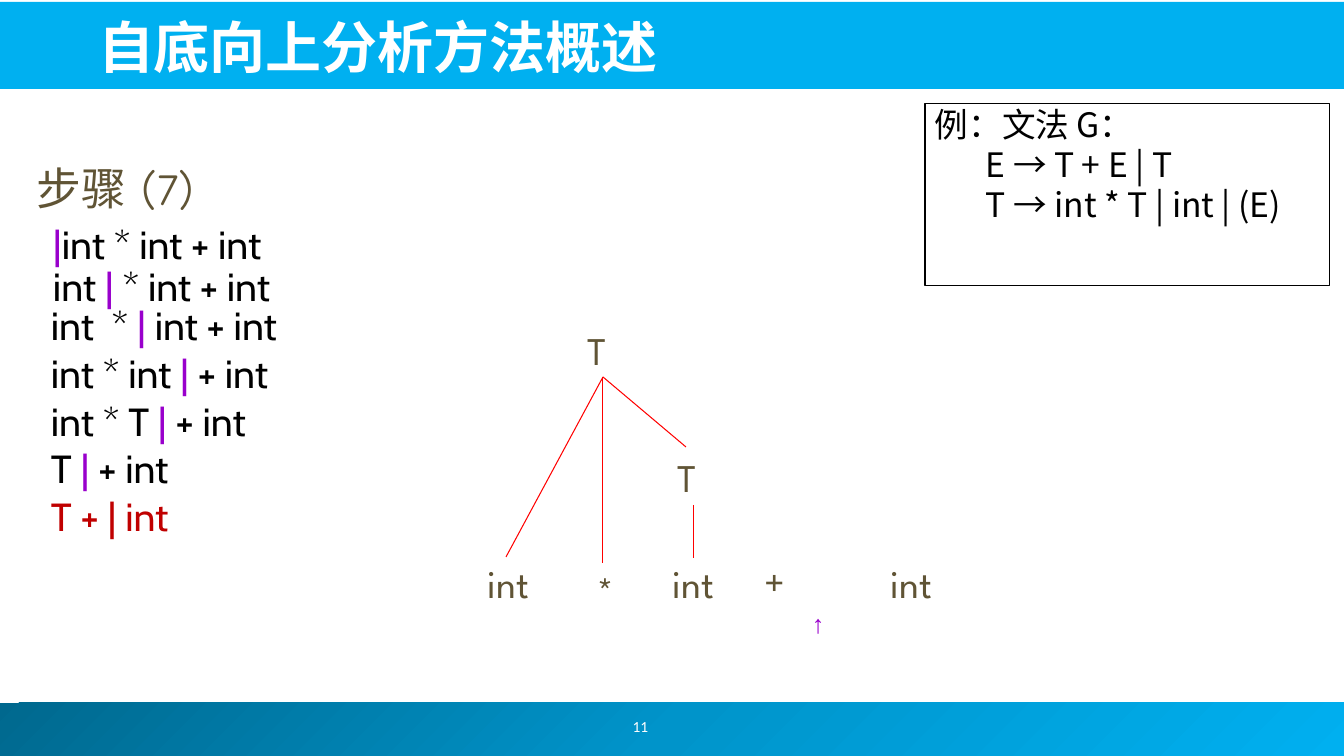
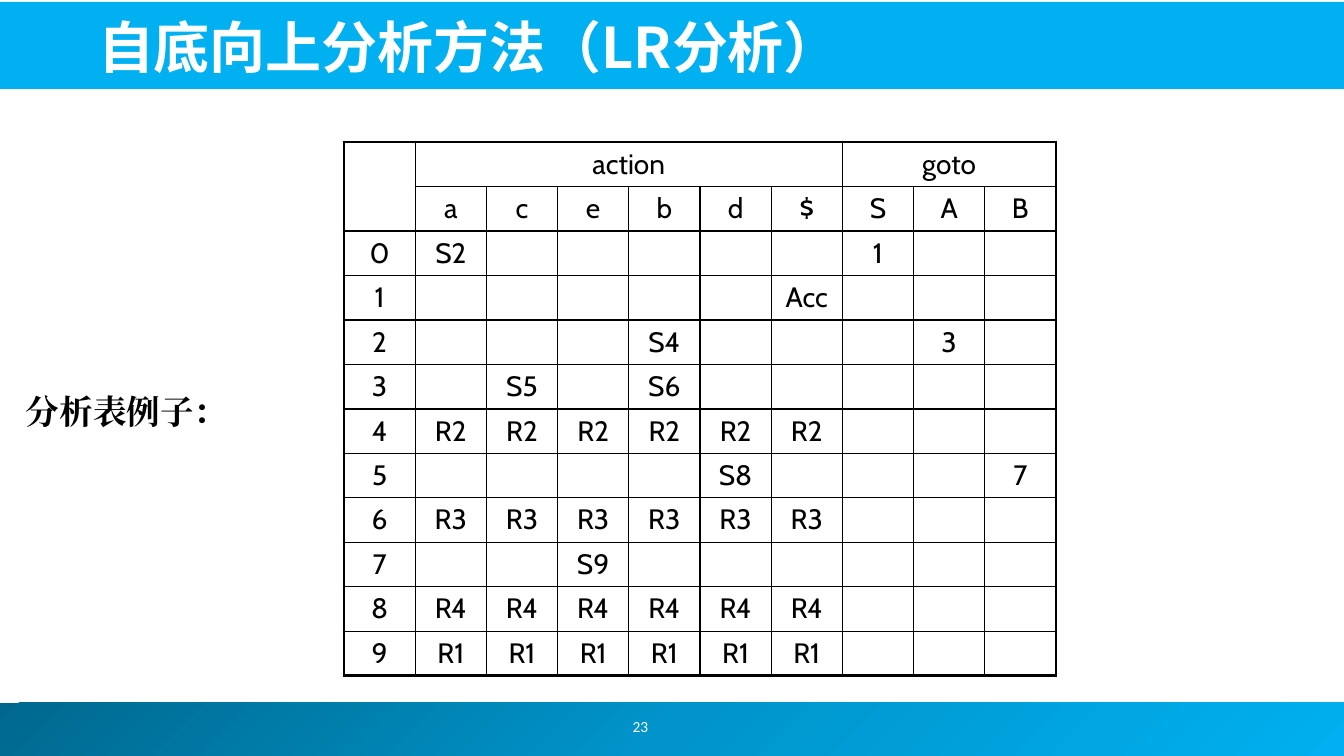
from copy import deepcopy

from pptx import Presentation
from pptx.dml.color import RGBColor
from pptx.enum.shapes import MSO_CONNECTOR, MSO_SHAPE
from pptx.enum.text import MSO_ANCHOR, MSO_AUTO_SIZE, PP_ALIGN
from pptx.oxml.ns import qn
from pptx.util import Pt
from lxml import etree

PX = 914400 / 100.8
RECTANGLE, STRAIGHT = MSO_SHAPE.RECTANGLE, MSO_CONNECTOR.STRAIGHT
TOP, MIDDLE, BOTTOM = MSO_ANCHOR.TOP, MSO_ANCHOR.MIDDLE, MSO_ANCHOR.BOTTOM
LEFT, CENTER = PP_ALIGN.LEFT, PP_ALIGN.CENTER

WHITE, BLACK, SKY = "FFFFFF", "000000", "00B0F0"
OLIVE, PURPLE, RED, DARK_RED = "605435", "9900CC", "FF0000", "C00000"
FOOTER_GRADIENT = [(0, "00688E"), (0.5, "0094CA"), (1, SKY)]
CJK, BODY, TREE = "Noto Sans CJK JP", "Cabin", "League Spartan"
HAND, SERIF, NUMBER = "Comic Neue", "Times New Roman", "Calibri"

# Slide 1: parsing steps as (left, top, runs)
STEPS = [
    (43, 215, [("|", PURPLE), ("int * int + int", BLACK)]),
    (43, 257, [("int ", BLACK), ("| ", PURPLE), ("* int + int", BLACK)]),
    (41, 296, [("int  * ", BLACK), ("| ", PURPLE), ("int + int", BLACK)]),
    (41, 344, [("int * int", BLACK), (" | ", PURPLE), ("+ int", BLACK)]),
    (41, 392, [("int * T ", BLACK), ("| ", PURPLE), ("+ int", BLACK)]),
    (41, 439, [("T ", BLACK), ("| ", PURPLE), ("+ int", BLACK)]),
    (41, 487, [("T + | int", DARK_RED)]),
]
TREE_NODES = [("T", 578, 321), ("T", 668, 448), ("int", 478, 554),
              ("*", 588, 561), ("int", 663, 554), ("+", 755, 552),
              ("int", 881, 554)]
TREE_ROOT = (603, 377)
TREE_EDGES = [(TREE_ROOT, (506, 557)), (TREE_ROOT, (603, 563)),
              (TREE_ROOT, (686, 447)), ((694, 505), (694, 558))]
# Grammar lines as (text, left margin, first-line indent)
GRAMMAR = [("例：文法 G：", 38, -38),
           ("E → T + E | T", 82, -31),
           ("T → int * T | int | (E)", 82, -31)]

# Slide 2: parsing table
GROUPS = [("action", 1, 6), ("goto", 7, 9)]
SYMBOLS = ["a", "c", "e", "b", "d", "$", "S", "A", "B"]
STATES = [
    {"a": "S2", "S": "1"},
    {"$": "Acc"},
    {"b": "S4", "A": "3"},
    {"c": "S5", "b": "S6"},
    dict.fromkeys("acebd$", "R2"),
    {"d": "S8", "B": "7"},
    dict.fromkeys("acebd$", "R3"),
    {"e": "S9"},
    dict.fromkeys("acebd$", "R4"),
    dict.fromkeys("acebd$", "R1"),
]
TABLE_BOX = (344, 142, 712, 534)
THIN, THICK = 1, 2.25


def emu(pixels):
    return round(pixels * PX)


def color(value):
    return RGBColor.from_string(value)


def format_run(run, size, font, fill, bold=False):
    run.font.size, run.font.name, run.font.bold = Pt(size), font, bold
    run.font.color.rgb = color(fill)
    latin = run._r.rPr.find(qn("a:latin"))
    east_asian = etree.Element(qn("a:ea"), typeface=font)
    latin.addnext(east_asian)


def add_text(slide, box, runs, size, font, anchor=TOP, align=LEFT, bold=False):
    shape = slide.shapes.add_textbox(*map(emu, box))
    frame = shape.text_frame
    frame.word_wrap, frame.vertical_anchor = True, anchor
    paragraph = frame.paragraphs[0]
    paragraph.alignment = align
    for text, fill in runs:
        run = paragraph.add_run()
        run.text = text
        format_run(run, size, font, fill, bold)


def add_rectangle(slide, box):
    shape = slide.shapes.add_shape(RECTANGLE, *map(emu, box))
    shape.shadow.inherit = False
    return shape


def add_edge(slide, start, end):
    line = slide.shapes.add_connector(STRAIGHT, *map(emu, start + end))
    line.line.color.rgb, line.line.width = color(RED), Pt(0.75)
    etree.SubElement(line._element.spPr, qn("a:effectLst"))


def set_up_layout(layout, slide):
    """Give the layout its two bands and its title position."""
    footer = add_rectangle(slide, (-5, 703, 1350, 53))
    footer.fill.gradient()
    footer.fill.gradient_angle = 315
    stop_list = footer._element.spPr.find(".//" + qn("a:gsLst"))
    stop_list.insert(1, deepcopy(stop_list[0]))
    for stop, (position, value) in zip(footer.fill.gradient_stops, FOOTER_GRADIENT):
        stop.position, stop.color.rgb = position, color(value)
    header = add_rectangle(slide, (-2, 2, 1347, 87))
    header.fill.solid()
    header.fill.fore_color.rgb = color(SKY)
    for band in (footer, header):
        band.line.fill.background()
        layout.shapes._spTree.append(band._element)
    title = layout.placeholders[0]
    title.left, title.top, title.width, title.height = map(emu, (88, 5, 1216, 80))


def add_title_and_number(slide, title, number):
    frame = slide.shapes.title.text_frame
    frame.text = title
    frame.auto_size, frame.vertical_anchor = MSO_AUTO_SIZE.NONE, BOTTOM
    frame.paragraphs[0].alignment = LEFT
    format_run(frame.paragraphs[0].runs[0], 40, CJK, WHITE, True)
    add_text(slide, (495, 701, 291, 50), [(number, WHITE)], 11, NUMBER, MIDDLE, CENTER)


def add_grammar(slide):
    shape = add_rectangle(slide, (925, 104, 405, 182))
    shape.fill.background()
    shape.line.color.rgb, shape.line.width = color(BLACK), Pt(0.75)
    frame = shape.text_frame
    frame.vertical_anchor = TOP
    for index, (text, margin, indent) in enumerate(GRAMMAR):
        paragraph = frame.paragraphs[0] if index == 0 else frame.add_paragraph()
        paragraph.text = text
        paragraph.alignment, paragraph.line_spacing = LEFT, 0.9
        if index:
            paragraph.space_before = Pt(2.5)
        properties = paragraph._p.get_or_add_pPr()
        properties.set("marL", str(emu(margin)))
        properties.set("indent", str(emu(indent)))
        format_run(paragraph.runs[0], 24, CJK, BLACK)


def set_borders(cell, widths):
    properties = cell._tc.get_or_add_tcPr()
    for index, (side, width) in enumerate(widths.items()):
        line = etree.Element(qn("a:" + side), w=str(Pt(width)))
        fill = etree.SubElement(line, qn("a:solidFill"))
        etree.SubElement(fill, qn("a:srgbClr"), val=BLACK)
        properties.insert(index, line)


def add_parsing_table(slide):
    rows = [[""] * 10, [""] + SYMBOLS]
    for text, first, last in GROUPS:
        rows[0][first] = text
    for state, entries in enumerate(STATES):
        rows.append([str(state)] + [entries.get(symbol, "") for symbol in SYMBOLS])
    row_count, column_count = len(rows), len(rows[0])
    left, top, width, height = map(emu, TABLE_BOX)
    table = slide.shapes.add_table(row_count, column_count, left, top, width, height).table
    for column in table.columns:
        column.width = width // column_count
    for row in table.rows:
        row.height = height // row_count
    table.cell(0, 0).merge(table.cell(1, 0))
    for text, first, last in GROUPS:
        table.cell(0, first).merge(table.cell(0, last))
    for r, texts in enumerate(rows):
        for c, text in enumerate(texts):
            cell = table.cell(r, c)
            cell.fill.background()
            if cell.is_spanned:
                continue
            right, bottom = c + cell.span_width, r + cell.span_height
            set_borders(cell, {
                "lnL": THICK if c == 0 else THIN,
                "lnR": THICK if right == column_count else THIN,
                "lnT": THICK if r == 0 else THIN,
                "lnB": THICK if bottom == row_count else THIN})
            if text:
                cell.text = text
                paragraph = cell.text_frame.paragraphs[0]
                paragraph.alignment = CENTER
                format_run(paragraph.runs[0], 20, BODY, BLACK)


def build_overview(slide):
    add_title_and_number(slide, "自底向上分析方法概述", "11")
    add_text(slide, (27, 137, 223, 101), [("步骤 (7)", OLIVE)], 32, HAND, MIDDLE)
    for left, top, runs in STEPS:
        add_text(slide, (left, top, 328, 50), runs, 28, BODY)
    # Parse tree with the input position marked below it
    for start, end in TREE_EDGES:
        add_edge(slide, start, end)
    for text, left, top in TREE_NODES:
        add_text(slide, (left, top, 70, 57), [(text, OLIVE)], 28, TREE)
    add_text(slide, (802, 603, 58, 50), [("↑", PURPLE)], 18, SERIF)
    add_grammar(slide)


def build_table_example(slide):
    add_title_and_number(slide, "自底向上分析方法（LR分析）", "23")
    add_parsing_table(slide)
    add_text(slide, (16, 386, 230, 50), [("分析表例子：", BLACK)], 24, SERIF, bold=True)


def main():
    presentation = Presentation()
    presentation.slide_width, presentation.slide_height = emu(1344), emu(756)
    layout = presentation.slide_layouts[5]
    overview, example = (presentation.slides.add_slide(layout) for _ in range(2))
    set_up_layout(layout, overview)
    build_overview(overview)
    build_table_example(example)
    presentation.save("out.pptx")


if __name__ == "__main__":
    main()
